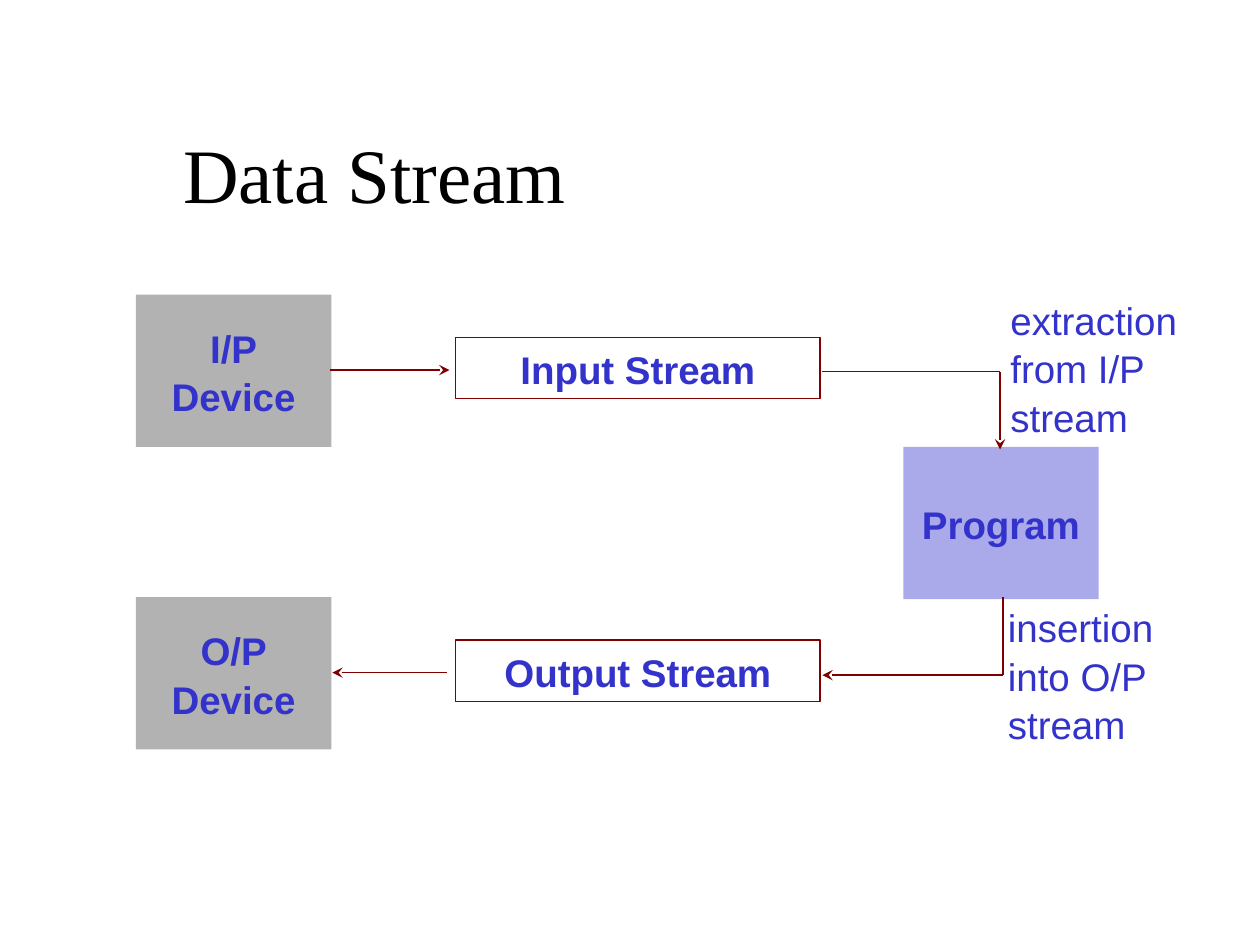
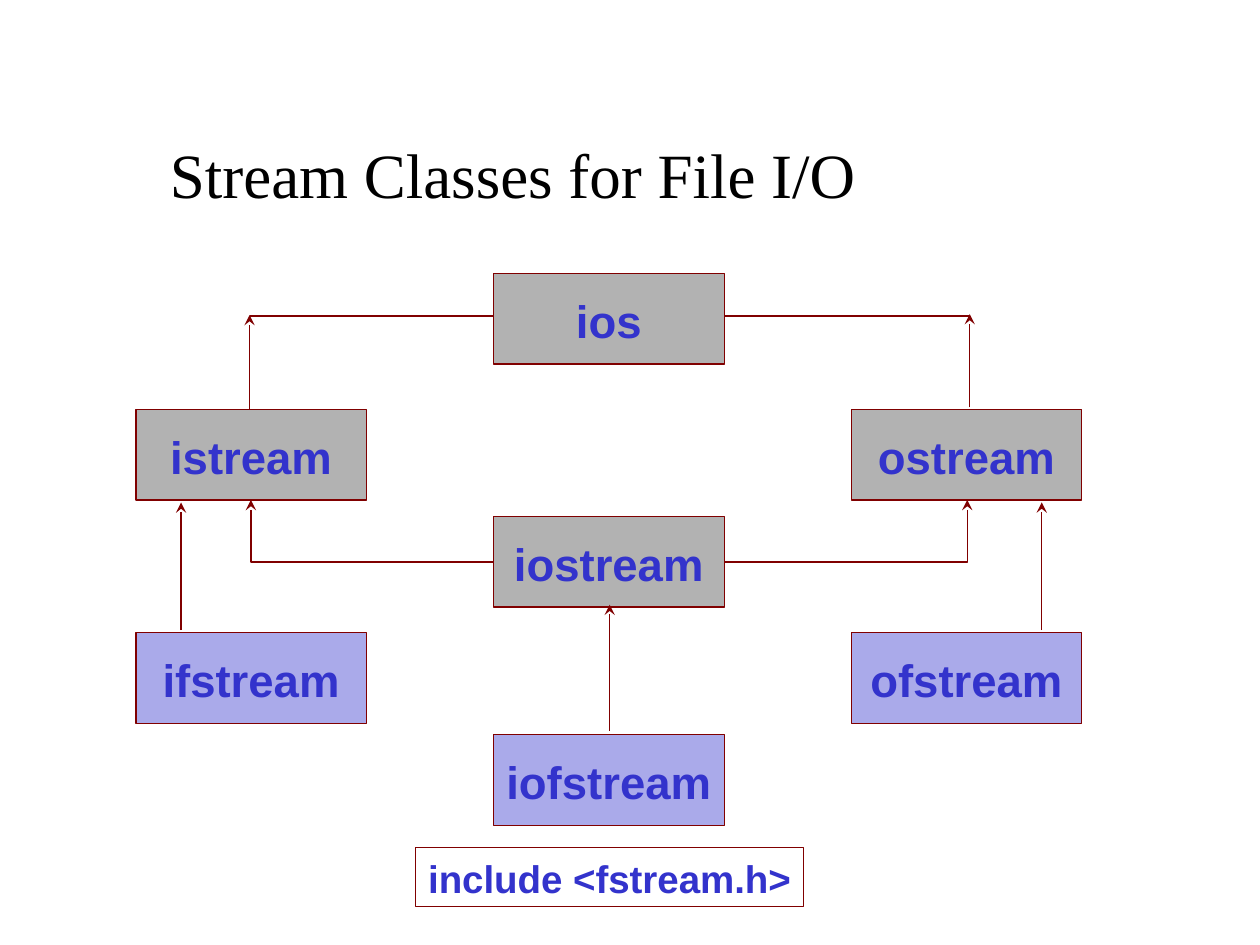
from dataclasses import dataclass
from itertools import pairwise

from lxml import etree
from pptx import Presentation
from pptx.dml.color import RGBColor
from pptx.enum import shapes, text
from pptx.oxml.ns import qn
from pptx.util import Cm, Pt


@dataclass(frozen=True)
class Theme:
    ink: RGBColor = RGBColor.from_string("3333CC")
    title: RGBColor = RGBColor.from_string("000000")
    edge: RGBColor = RGBColor.from_string("800000")
    grey: RGBColor = RGBColor.from_string("B2B2B2")
    lilac: RGBColor = RGBColor.from_string("AAAAEA")
    title_font: str = "Times New Roman"
    body_font: str = "Arial"
    label_size: int = 22
    class_size: int = 26
    line_width: float = 0.75
    line_spacing: float = 1.05


THEME = Theme()


@dataclass(frozen=True)
class Box:
    left: float
    top: float
    width: float
    height: float

    def inside(self, left, top, width, height):
        return Box(self.left + left, self.top + top, width, height)

    def point(self, x, y):
        return Cm(self.left + x), Cm(self.top + y)

    def lengths(self):
        return [Cm(side) for side in (self.left, self.top, self.width, self.height)]


def write_lines(shape, lines, size, bold=True, centred=True):
    frame = shape.text_frame
    frame.text = "\n".join(lines)
    for para in frame.paragraphs:
        para.alignment = text.PP_ALIGN.CENTER if centred else text.PP_ALIGN.LEFT
        para.line_spacing = THEME.line_spacing
        para.font.name = THEME.body_font
        para.font.size = Pt(size)
        para.font.bold = bold
        para.font.color.rgb = THEME.ink


def add_node(page, box, lines, fill=None, outlined=True, size=THEME.label_size):
    node = page.shapes.add_shape(shapes.MSO_SHAPE.RECTANGLE, *box.lengths())
    node.shadow.inherit = False
    if fill is None:
        node.fill.background()
    else:
        node.fill.solid()
        node.fill.fore_color.rgb = fill
    if outlined:
        node.line.color.rgb = THEME.edge
        node.line.width = Pt(THEME.line_width)
    else:
        node.line.fill.background()
    node.text_frame.word_wrap = False
    node.text_frame.vertical_anchor = text.MSO_ANCHOR.MIDDLE
    write_lines(node, lines, size)


def add_line(page, box, start, end, arrow=True, bent=False):
    kind = shapes.MSO_CONNECTOR.ELBOW if bent else shapes.MSO_CONNECTOR.STRAIGHT
    line = page.shapes.add_connector(kind, *box.point(*start), *box.point(*end))
    line.line.color.rgb = THEME.edge
    line.line.width = Pt(THEME.line_width)
    properties = line._element.spPr
    if bent:
        properties.find(qn("a:prstGeom")).set("prst", "bentConnector2")
    if arrow:
        etree.SubElement(properties.find(qn("a:ln")), qn("a:tailEnd"), type="stealth")
    etree.SubElement(properties, qn("a:effectLst"))


def add_route(page, box, points):
    legs = list(pairwise(points))
    for number, (start, end) in enumerate(legs, 1):
        add_line(page, box, start, end, arrow=number == len(legs))


def add_label(page, box, words):
    label = page.shapes.add_textbox(*box.lengths())
    frame = label.text_frame
    frame.word_wrap = True
    frame.margin_left = frame.margin_right = frame.margin_top = frame.margin_bottom = 0
    write_lines(label, [words], THEME.label_size, bold=False, centred=False)


def add_title(page, box, words, size):
    frame = page.shapes.add_textbox(*box.lengths()).text_frame
    frame.word_wrap = True
    frame.vertical_anchor = text.MSO_ANCHOR.MIDDLE
    para = frame.paragraphs[0]
    para.text = words
    para.alignment = text.PP_ALIGN.CENTER
    para.font.name = THEME.title_font
    para.font.size = Pt(size)
    para.font.color.rgb = THEME.title


def draw_data_stream(page, box):
    row_pitch = 6.1
    block = (3.94, 3.07)
    for row, (device, stream) in enumerate([("I/P", "Input"), ("O/P", "Output")]):
        top = row * row_pitch
        add_node(page, box.inside(0, top, *block), [device, "Device"], THEME.grey, False)
        add_node(page, box.inside(6.45, top + 0.86, 7.34, 1.24), [f"{stream} Stream"])
    add_node(page, box.inside(15.47, 3.07, *block), ["Program"], THEME.lilac, False)

    add_line(page, box, (3.91, 1.52), (6.32, 1.52))
    add_line(page, box, (6.27, 1.52 + row_pitch), (3.96, 1.52 + row_pitch))
    add_route(page, box, [(13.84, 1.55), (17.42, 1.55), (17.42, 3.12)])
    add_route(page, box, [(17.48, 6.1), (17.48, 7.67), (13.84, 7.67)])

    add_label(page, box.inside(17.63, 0, 3.63, 3), "extraction from I/P stream")
    add_label(page, box.inside(17.58, 6.2, 3.63, 3.2), "insertion into O/P stream")


def draw_stream_classes(page, box):
    width, height = 4.65, 1.83
    column_pitch = 7.21
    classes = [
        ("ios", 1, 0, THEME.grey),
        ("istream", 0, 2.74, THEME.grey),
        ("ostream", 2, 2.74, THEME.grey),
        ("iostream", 1, 4.9, THEME.grey),
        ("ifstream", 0, 7.24, THEME.lilac),
        ("ofstream", 2, 7.24, THEME.lilac),
        ("iofstream", 1, 9.3, THEME.lilac),
    ]
    add_line(page, box, (2.29, 0.86), (16.81, 0.86), arrow=False)
    for name, column, top, fill in classes:
        node_box = box.inside(column * column_pitch, top, width, height)
        add_node(page, node_box, [name], fill, size=THEME.class_size)
    add_node(page, box.inside(5.64, 11.58, 7.82, 1.19), ["include <fstream.h>"])

    for x, bottom, tip in [
        (2.29, 2.74, 0.84),
        (16.81, 2.7, 0.82),
        (0.91, 7.19, 4.62),
        (18.26, 7.19, 4.62),
        (9.55, 9.22, 6.68),
    ]:
        add_line(page, box, (x, bottom), (x, tip))
    for start_x, end_x in [(column_pitch, 2.32), (column_pitch + width, 16.76)]:
        add_line(page, box, (start_x, 5.82), (end_x, 4.57), bent=True)


def main():
    deck = Presentation()
    deck.slide_width, deck.slide_height = Cm(25.4), Cm(19.05)
    slides = [
        ("Data Stream", 44, 10.03, draw_data_stream, Box(2.74, 5.94, 21.26, 9.4)),
        ("Stream Classes for File I/O", 36, 15.6, draw_stream_classes,
         Box(2.74, 5.51, 19.07, 12.77)),
    ]
    for title, size, title_width, draw, box in slides:
        page = deck.slides.add_slide(deck.slide_layouts[6])
        add_title(page, Box(2.54, 2.54, title_width, 1.9), title, size)
        draw(page, box)
    deck.save("out.pptx")


if __name__ == "__main__":
    main()
